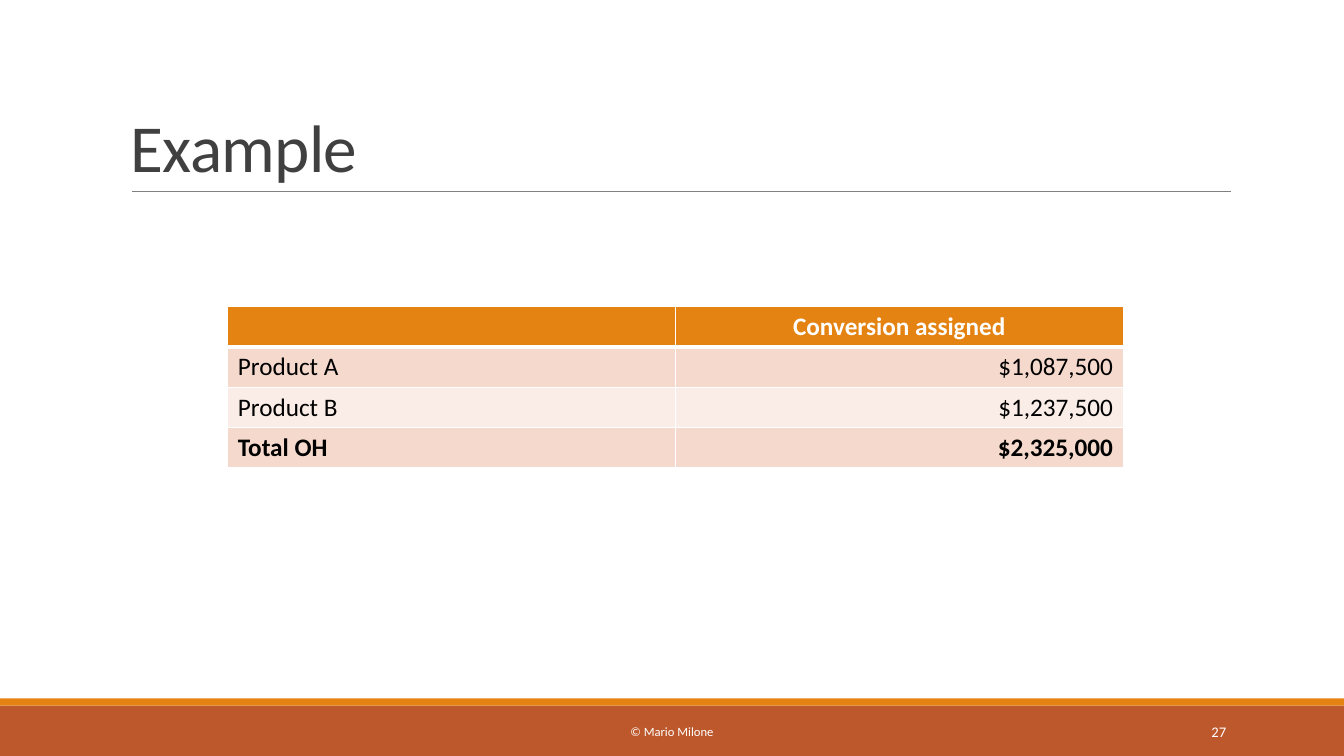
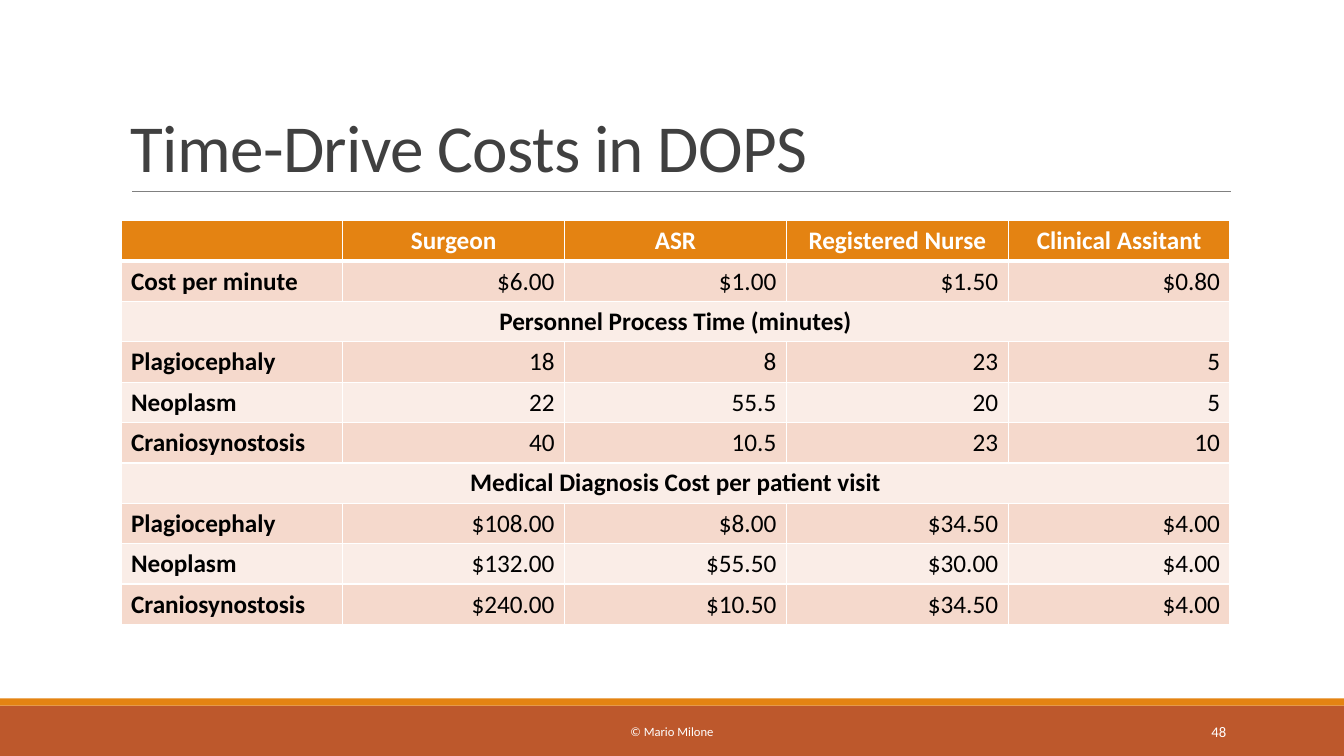
from dataclasses import dataclass

import lxml.etree
import pptx
import pptx.dml.color
import pptx.enum.shapes
import pptx.enum.text
import pptx.oxml.ns
import pptx.util

Inches = pptx.util.Inches
Pt = pptx.util.Pt
Align = pptx.enum.text.PP_ALIGN
Anchor = pptx.enum.text.MSO_ANCHOR
qn = pptx.oxml.ns.qn


@dataclass(frozen=True)
class Theme:
    font: str = "Calibri"
    orange: str = "E48312"
    rust: str = "BD582C"
    rule: str = "808080"
    title: str = "404040"
    black: str = "000000"
    white: str = "FFFFFF"
    bands: tuple[str, str] = ("F5D9CC", "FAEDE7")
    title_size: float = 48
    table_size: float = 18
    footer_size: float = 9
    number_size: float = 10.5
    border: float = 1
    header_border: float = 3


THEME = Theme()


@dataclass(frozen=True)
class Box:
    left: float
    top: float
    width: float
    height: float

    def lengths(self) -> tuple:
        return tuple(map(Inches, (self.left, self.top, self.width, self.height)))


@dataclass(frozen=True)
class Row:
    """A table row; a single cell spans the whole table."""
    cells: tuple[str, ...]
    bold_label: bool = False
    bold_values: bool = False


@dataclass(frozen=True)
class TableSlide:
    title: str
    number: int
    table_box: Box
    header: tuple[str, ...]
    rows: tuple[Row, ...]


def rgb(color: str) -> pptx.dml.color.RGBColor:
    return pptx.dml.color.RGBColor.from_string(color)


def style_text(frame, size: float, color: str, align=Align.LEFT, bold: bool = False) -> None:
    paragraph = frame.paragraphs[0]
    paragraph.alignment = align
    for run in paragraph.runs:
        run.font.name = THEME.font
        run.font.size = Pt(size)
        run.font.bold = bold
        run.font.color.rgb = rgb(color)


def add_text(slide, box: Box, text: str, size: float, color: str,
             align=Align.LEFT, anchor=Anchor.MIDDLE):
    frame = slide.shapes.add_textbox(*box.lengths()).text_frame
    frame.word_wrap = True
    frame.vertical_anchor = anchor
    frame.text = text
    style_text(frame, size, color, align)
    return frame.paragraphs[0]


def add_band(slide, box: Box, color: str) -> None:
    band = slide.shapes.add_shape(pptx.enum.shapes.MSO_SHAPE.RECTANGLE, *box.lengths())
    band.shadow.inherit = False
    band.fill.solid()
    band.fill.fore_color.rgb = rgb(color)
    band.line.fill.background()


def add_frame(slide, title: str, number: int) -> None:
    # Bottom bands
    add_band(slide, Box(0, 7, 13.33, 0.5), THEME.rust)
    add_band(slide, Box(0, 6.93, 13.33, 0.07), THEME.orange)

    # Title and the rule under it
    rule = slide.shapes.add_connector(
        pptx.enum.shapes.MSO_CONNECTOR.STRAIGHT,
        Inches(1.31), Inches(1.9), Inches(12.21), Inches(1.9))
    rule.line.color.rgb = rgb(THEME.rule)
    rule.line.width = Pt(0.5)
    lxml.etree.SubElement(rule._element.spPr, qn("a:effectLst"))
    heading = add_text(slide, Box(1.2, 0.31, 11, 1.59), title,
                       THEME.title_size, THEME.title, anchor=Anchor.BOTTOM)
    heading.line_spacing = 0.85
    heading.runs[0].font._element.set("spc", "-50")

    # Footer and slide number
    add_text(slide, Box(4.03, 7.06, 5.27, 0.4), "© Mario Milone",
             THEME.footer_size, THEME.white, Align.CENTER)
    add_text(slide, Box(10.83, 7.06, 1.43, 0.4), str(number),
             THEME.number_size, THEME.white, Align.RIGHT)


def set_borders(cell, top: float, bottom: float) -> None:
    properties = cell._tc.get_or_add_tcPr()
    widths = {"L": THEME.border, "R": THEME.border, "T": top, "B": bottom}
    for side, width in widths.items():
        border = lxml.etree.SubElement(properties, qn(f"a:ln{side}"), w=str(Pt(width)))
        fill = lxml.etree.SubElement(border, qn("a:solidFill"))
        lxml.etree.SubElement(fill, qn("a:srgbClr"), val=THEME.white)


def fill_cell(cell, text: str, fill: str, color: str, align, bold: bool) -> None:
    cell.fill.solid()
    cell.fill.fore_color.rgb = rgb(fill)
    cell.text_frame.text = text
    style_text(cell.text_frame, THEME.table_size, color, align, bold)


def add_cost_table(slide, content: TableSlide) -> None:
    row_count, column_count = len(content.rows) + 1, len(content.header)
    table = slide.shapes.add_table(
        row_count, column_count, *content.table_box.lengths()).table

    # White grid, heavier below the header
    for r in range(row_count):
        top = THEME.header_border if r == 1 else THEME.border
        bottom = THEME.header_border if r == 0 else THEME.border
        for c in range(column_count):
            set_borders(table.cell(r, c), top, bottom)

    # Header
    for c, text in enumerate(content.header):
        fill_cell(table.cell(0, c), text, THEME.orange, THEME.white, Align.CENTER, True)

    # Banded body with full-width section rows
    for r, row in enumerate(content.rows, start=1):
        band = THEME.bands[(r - 1) % 2]
        is_section = len(row.cells) == 1
        if is_section:
            table.cell(r, 0).merge(table.cell(r, column_count - 1))
        for c, text in enumerate(row.cells):
            if is_section:
                align = Align.CENTER
            else:
                align = Align.RIGHT if c else Align.LEFT
            bold = row.bold_values if c else row.bold_label
            fill_cell(table.cell(r, c), text, band, THEME.black, align, bold)


def labelled(*cells: str) -> Row:
    return Row(cells, bold_label=True)


SLIDES = (
    TableSlide(
        "Example", 27, Box(2.26, 3.04, 8.88, 1.6),
        ("", "Conversion assigned"),
        (
            Row(("Product A", "$1,087,500")),
            Row(("Product B", "$1,237,500")),
            Row(("Total OH", "$2,325,000"), bold_label=True, bold_values=True),
        ),
    ),
    TableSlide(
        "Time-Drive Costs in DOPS", 48, Box(1.2, 2.19, 11, 4),
        ("", "Surgeon", "ASR", "Registered Nurse", "Clinical Assitant"),
        (
            labelled("Cost per minute", "$6.00", "$1.00", "$1.50", "$0.80"),
            labelled("Personnel Process Time (minutes)"),
            labelled("Plagiocephaly", "18", "8", "23", "5"),
            labelled("Neoplasm", "22", "55.5", "20", "5"),
            labelled("Craniosynostosis", "40", "10.5", "23", "10"),
            labelled("Medical Diagnosis Cost per patient visit"),
            labelled("Plagiocephaly", "$108.00", "$8.00", "$34.50", "$4.00"),
            labelled("Neoplasm", "$132.00", "$55.50", "$30.00", "$4.00"),
            labelled("Craniosynostosis", "$240.00", "$10.50", "$34.50", "$4.00"),
        ),
    ),
)


def main() -> None:
    deck = pptx.Presentation()
    deck.slide_width, deck.slide_height = Inches(13.33), Inches(7.5)
    for content in SLIDES:
        slide = deck.slides.add_slide(deck.slide_layouts[6])
        add_frame(slide, content.title, content.number)
        add_cost_table(slide, content)
    deck.save("out.pptx")


if __name__ == "__main__":
    main()
